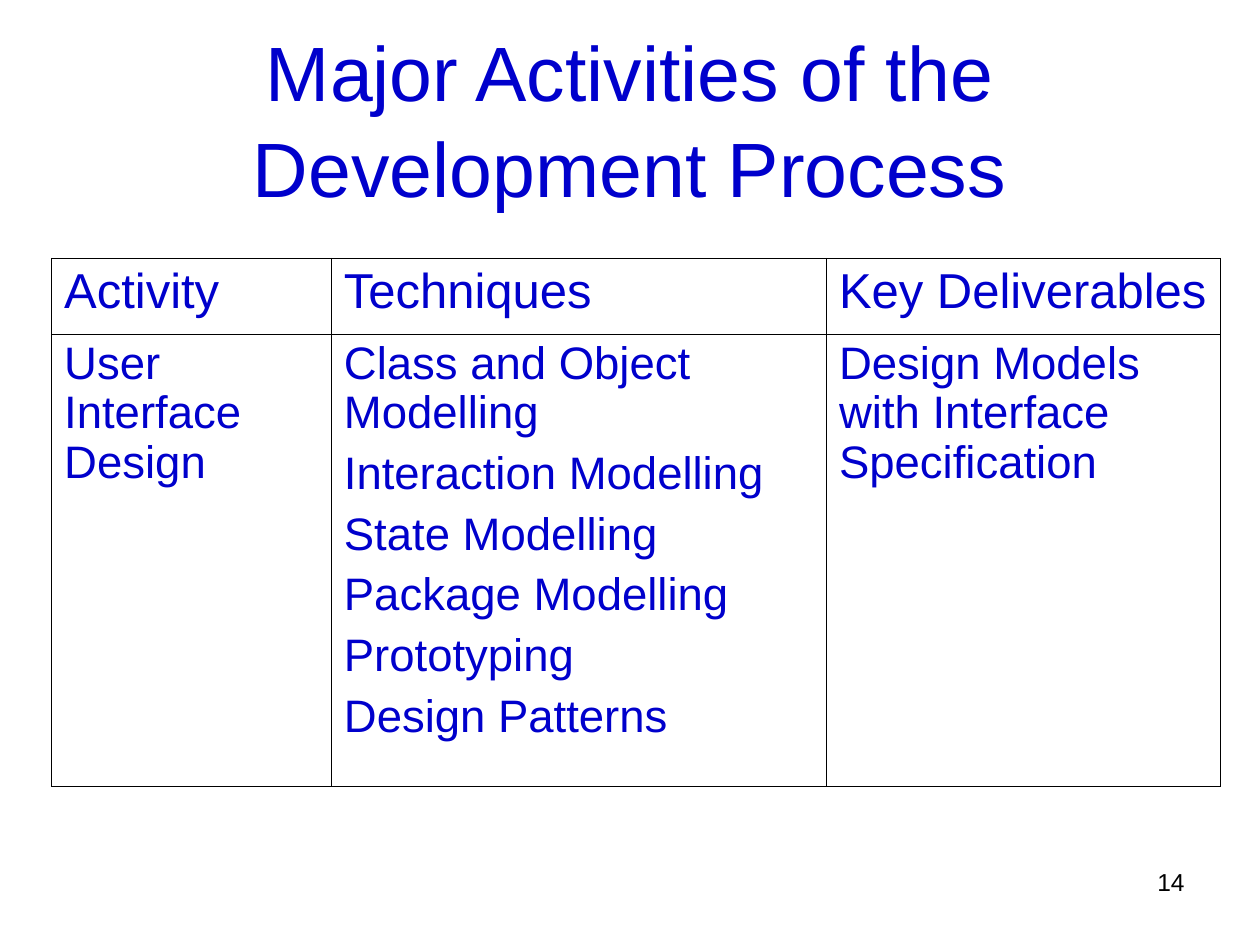
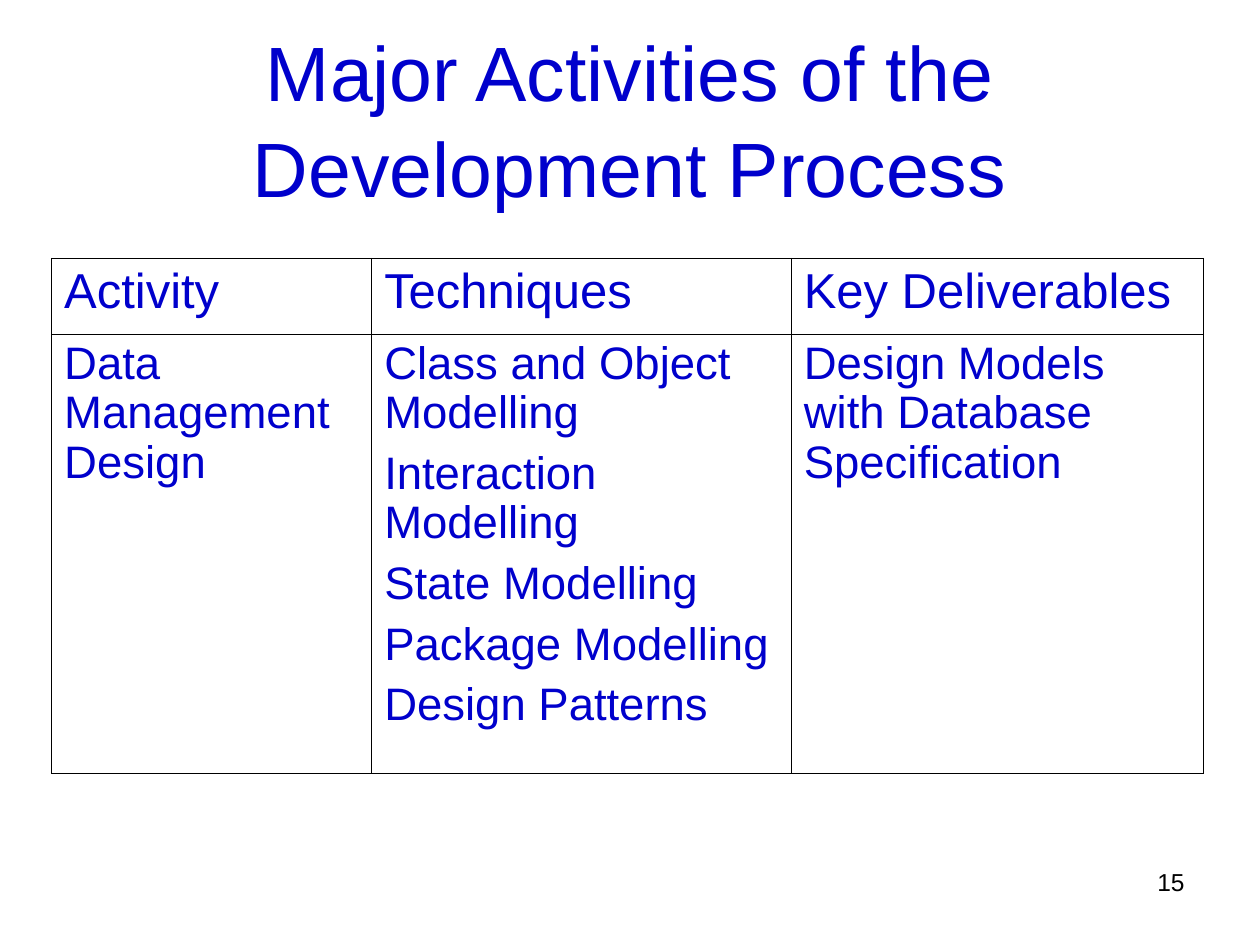
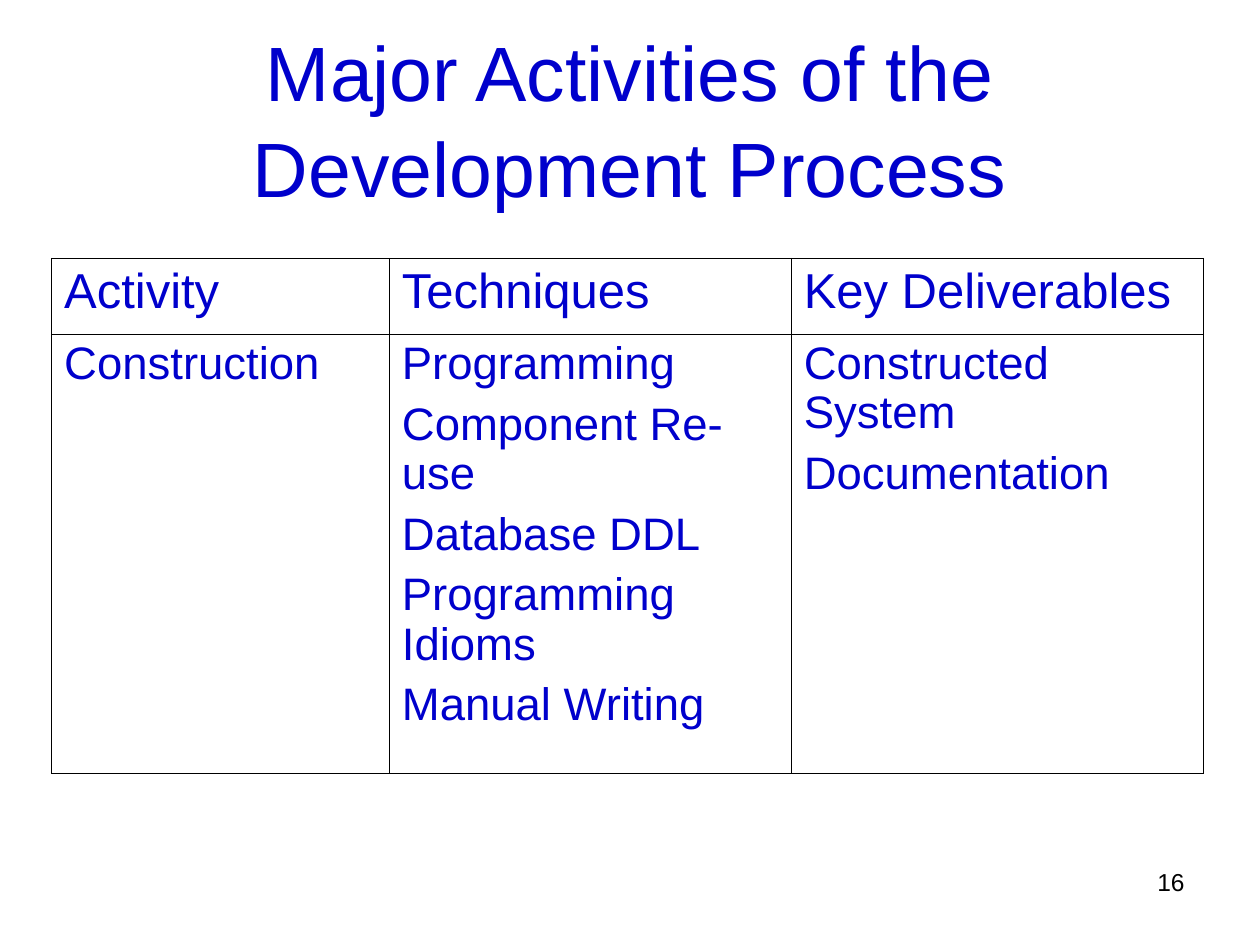
import dataclasses

import lxml.etree
import pptx
import pptx.dml.color
import pptx.enum.text
import pptx.oxml.ns
import pptx.util

EMU_PER_PX = 9144  # 100 px to the inch
FONT = "Arial"
BLUE = "0000CC"
BLACK = "000000"
OUTER_LINE = 0.75
INNER_LINE = 0.45
ALIGN = pptx.enum.text.PP_ALIGN
ANCHOR = pptx.enum.text.MSO_ANCHOR

TITLE = "Major Activities of the Development Process"
HEADINGS = ("Activity", "Techniques", "Key Deliverables")
TABLE_LEFT, TABLE_TOP, HEADER_HEIGHT = 41, 205, 60


@dataclasses.dataclass(frozen=True)
class TextStyle:
    size: int
    color: str = BLUE
    align: ALIGN = ALIGN.LEFT
    line_spacing: float = 1.0
    space_before: float = 0


@dataclasses.dataclass(frozen=True)
class Frame:
    left: int
    top: int
    width: int
    height: int
    anchor: ANCHOR = ANCHOR.TOP


@dataclasses.dataclass(frozen=True)
class Activity:
    number: int
    column_widths: tuple[int, ...]
    body_height: int
    name: str
    techniques: tuple[str, ...]
    deliverables: tuple[str, ...]


TITLE_STYLE = TextStyle(44, align=ALIGN.CENTER, line_spacing=1.04)
HEADING_STYLE = TextStyle(28)
BODY_STYLE = TextStyle(26, line_spacing=0.97, space_before=6.5)
NUMBER_STYLE = TextStyle(14, BLACK, ALIGN.RIGHT)
TITLE_FRAME = Frame(50, 30, 900, 125, ANCHOR.MIDDLE)
NUMBER_FRAME = Frame(717, 683, 233, 52)

ACTIVITIES = (
    Activity(
        14, (222, 393, 313), 359, "User Interface Design",
        ("Class and Object Modelling", "Interaction Modelling", "State Modelling",
         "Package Modelling", "Prototyping", "Design Patterns"),
        ("Design Models with Interface Specification",),
    ),
    Activity(
        15, (254, 333, 327), 349, "Data Management Design",
        ("Class and Object Modelling", "Interaction Modelling", "State Modelling",
         "Package Modelling", "Design Patterns"),
        ("Design Models with Database Specification",),
    ),
    Activity(
        16, (268, 319, 327), 349, "Construction",
        ("Programming", "Component Re-use", "Database DDL",
         "Programming Idioms", "Manual Writing"),
        ("Constructed System", "Documentation"),
    ),
)


def px(length: int) -> pptx.util.Emu:
    return pptx.util.Emu(length * EMU_PER_PX)


def rgb(value: str) -> pptx.dml.color.RGBColor:
    return pptx.dml.color.RGBColor.from_string(value)


# Text
def write(text_frame, lines: tuple[str, ...], style: TextStyle) -> None:
    for index, line in enumerate(lines):
        para = text_frame.add_paragraph() if index else text_frame.paragraphs[0]
        para.text = line
        para.alignment = style.align
        para.line_spacing = style.line_spacing
        para.space_before = pptx.util.Pt(style.space_before if index else 0)
        para.font.name = FONT
        para.font.size = pptx.util.Pt(style.size)
        para.font.color.rgb = rgb(style.color)


def add_text(page, frame: Frame, text: str, style: TextStyle) -> None:
    box = page.shapes.add_textbox(
        px(frame.left), px(frame.top), px(frame.width), px(frame.height))
    box.text_frame.word_wrap = True
    box.text_frame.vertical_anchor = frame.anchor
    write(box.text_frame, (text,), style)


# Table
def add_borders(cell, outer_sides: dict[str, bool]) -> None:
    properties = cell._tc.get_or_add_tcPr()
    for index, (side, is_outer) in enumerate(outer_sides.items()):
        width = pptx.util.Pt(OUTER_LINE if is_outer else INNER_LINE)
        line = lxml.etree.Element(pptx.oxml.ns.qn(f"a:ln{side}"), w=str(int(width)))
        fill = lxml.etree.SubElement(line, pptx.oxml.ns.qn("a:solidFill"))
        lxml.etree.SubElement(fill, pptx.oxml.ns.qn("a:srgbClr"), val=BLACK)
        properties.insert(index, line)


def add_activity_table(page, activity: Activity) -> None:
    rows = (
        tuple((heading,) for heading in HEADINGS),
        ((activity.name,), activity.techniques, activity.deliverables),
    )
    heights = (HEADER_HEIGHT, activity.body_height)
    widths = activity.column_widths
    table = page.shapes.add_table(
        len(rows), len(widths), px(TABLE_LEFT), px(TABLE_TOP),
        px(sum(widths)), px(sum(heights))).table
    table.first_row = False
    table.horz_banding = False
    for column, width in zip(table.columns, widths):
        column.width = px(width)
    for row_index, (row, height) in enumerate(zip(rows, heights)):
        table.rows[row_index].height = px(height)
        for column_index, lines in enumerate(row):
            cell = table.cell(row_index, column_index)
            cell.fill.background()
            write(cell.text_frame, lines, BODY_STYLE if row_index else HEADING_STYLE)
            add_borders(cell, {
                "L": column_index == 0,
                "R": column_index == len(widths) - 1,
                "T": row_index == 0,
                "B": row_index == len(rows) - 1,
            })


# Slides
def main() -> None:
    deck = pptx.Presentation()
    deck.slide_width, deck.slide_height = px(1000), px(750)
    for activity in ACTIVITIES:
        page = deck.slides.add_slide(deck.slide_layouts[6])
        add_text(page, TITLE_FRAME, TITLE, TITLE_STYLE)
        add_activity_table(page, activity)
        add_text(page, NUMBER_FRAME, str(activity.number), NUMBER_STYLE)
    deck.save("out.pptx")


if __name__ == "__main__":
    main()
